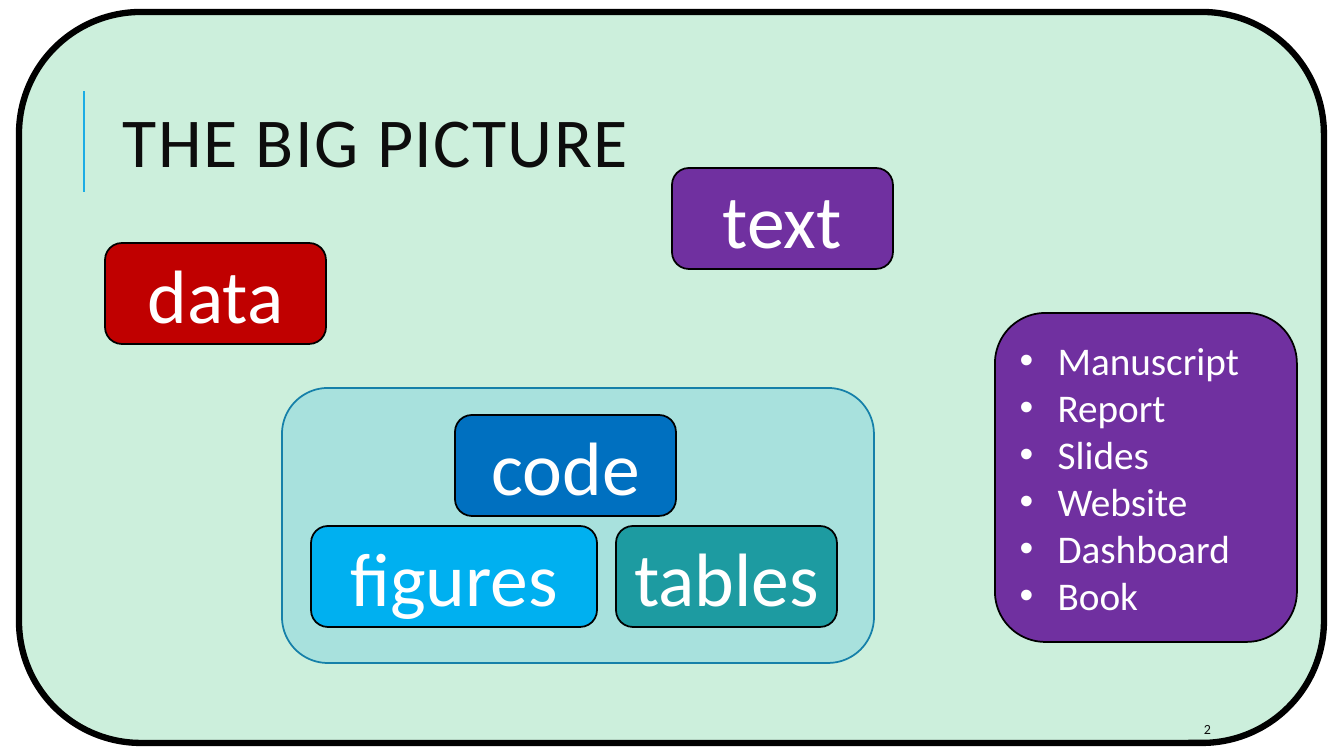
import pptx
import pptx.dml.color
import pptx.enum.shapes
import pptx.enum.text
import pptx.oxml
import pptx.oxml.ns
import pptx.util

PIXEL = 914400 / 100.8
FONT = "Calibri"
WHITE, BLACK, INK, PURPLE, SKY = "FFFFFF", "000000", "0D0D0D", "7030A0", "1CADE4"
BOX_WIDTH, BOX_HEIGHT = 221, 101
LEFT = pptx.enum.text.PP_ALIGN.LEFT
CENTER = pptx.enum.text.PP_ALIGN.CENTER
OUTPUTS = ["Manuscript", "Report", "Slides", "Website", "Dashboard", "Book"]


def emu(*pixels):
    """Turn pixel lengths into a list of EMU lengths."""
    return [round(pixel * PIXEL) for pixel in pixels]


def color(hex_string):
    """Turn a hex string into a colour."""
    return pptx.dml.color.RGBColor.from_string(hex_string)


def add_element(parent, tag, **attributes):
    """Append a DrawingML element with the given attributes."""
    element = pptx.oxml.parse_xml(f"<a:{tag} {pptx.oxml.ns.nsdecls('a')}/>")
    for name, value in attributes.items():
        element.set(name, value)
    parent.append(element)


def write(shape, lines, size, text_color, alignment=LEFT, line_spacing=1.0):
    """Write one paragraph per line, centred vertically, and return the paragraphs."""
    frame = shape.text_frame
    frame.word_wrap = True
    frame.vertical_anchor = pptx.enum.text.MSO_ANCHOR.MIDDLE
    frame.text = "\n".join(lines)
    font_format = {"name": FONT, "size": pptx.util.Pt(size)}
    for paragraph in frame.paragraphs:
        paragraph.alignment = alignment
        paragraph.line_spacing = line_spacing
        font = paragraph.runs[0].font
        for name, value in font_format.items():
            setattr(font, name, value)
        font.color.rgb = color(text_color)
    return frame.paragraphs


def add_panel(shapes, box, fill, line=BLACK, width=1.25, opacity=100):
    """Add a rounded rectangle with a solid fill and an outline."""
    kind = pptx.enum.shapes.MSO_SHAPE.ROUNDED_RECTANGLE
    shape = shapes.add_shape(kind, *emu(*box))
    shape.shadow.inherit = False
    shape.fill.solid()
    shape.fill.fore_color.rgb = color(fill)
    shape.line.color.rgb = color(line)
    shape.line.width = pptx.util.Pt(width)
    if opacity < 100:
        fill_color = shape.fill._xPr.find(".//" + pptx.oxml.ns.qn("a:srgbClr"))
        add_element(fill_color, "alpha", val=str(opacity * 1000))
    return shape


def add_label(shapes, text, left, top, fill, width=BOX_WIDTH):
    """Add a rounded box holding one large centred word."""
    shape = add_panel(shapes, (left, top, width, BOX_HEIGHT), fill)
    write(shape, [text], 54, WHITE, CENTER)


def add_heading(slide, box):
    """Add the accent rule and the title to its right."""
    left, top, width, height = box
    rule = slide.shapes.add_connector(
        pptx.enum.shapes.MSO_CONNECTOR.STRAIGHT,
        *emu(left, top + 127, left, top + 26))
    rule.line.color.rgb = color(SKY)
    rule.line.width = pptx.util.Pt(1.5)
    add_element(rule._element.spPr, "effectLst")
    title = slide.shapes.add_textbox(*emu(left + 29, top, width - 29, height))
    paragraph = write(title, ["THE BIG PICTURE"], 50, INK, line_spacing=0.8)[0]
    paragraph.runs[0].font._element.set("spc", "100")


def add_page_number(slide, box):
    """Add the small slide number."""
    write(slide.shapes.add_textbox(*emu(*box)), ["2"], 10, INK)


def add_analysis(slide, box):
    """Group code with the figures and tables it produces."""
    left, top = box[:2]
    shapes = slide.shapes.add_group_shape().shapes
    add_panel(shapes, box, SKY, "1580A9", opacity=20)
    add_label(shapes, "code", left + 173, top + 27, "0070C0")
    add_label(shapes, "tables", left + 334, top + 138, "1D9BA1")
    add_label(shapes, "figures", left + 29, top + 138, "00B0F0", 286)


def add_outputs(slide, box):
    """Add the bulleted panel of output formats."""
    indent = emu(38)[0]
    for paragraph in write(add_panel(slide.shapes, box, PURPLE), OUTPUTS, 28, WHITE):
        properties = paragraph._p.get_or_add_pPr()
        properties.set("marL", str(indent))
        properties.set("indent", str(-indent))
        add_element(properties, "buFont", typeface="Arial")
        add_element(properties, "buChar", char="•")


def build_slide(presentation):
    """Lay out the whole workflow slide."""
    slide = presentation.slides.add_slide(presentation.slide_layouts[6])
    add_panel(slide.shapes, (19, 12, 1305, 731), "00B050", width=4.5, opacity=20)
    add_heading(slide, (84, 65, 1101, 165))
    add_page_number(slide, (1194, 714, 107, 30))
    add_label(slide.shapes, "text", 672, 168, PURPLE)
    add_analysis(slide, (282, 388, 592, 275))
    add_label(slide.shapes, "data", 105, 243, "C00000")
    add_outputs(slide, (995, 313, 302, 329))


presentation = pptx.Presentation()
presentation.slide_width, presentation.slide_height = emu(1344, 756)
build_slide(presentation)
presentation.save("out.pptx")
